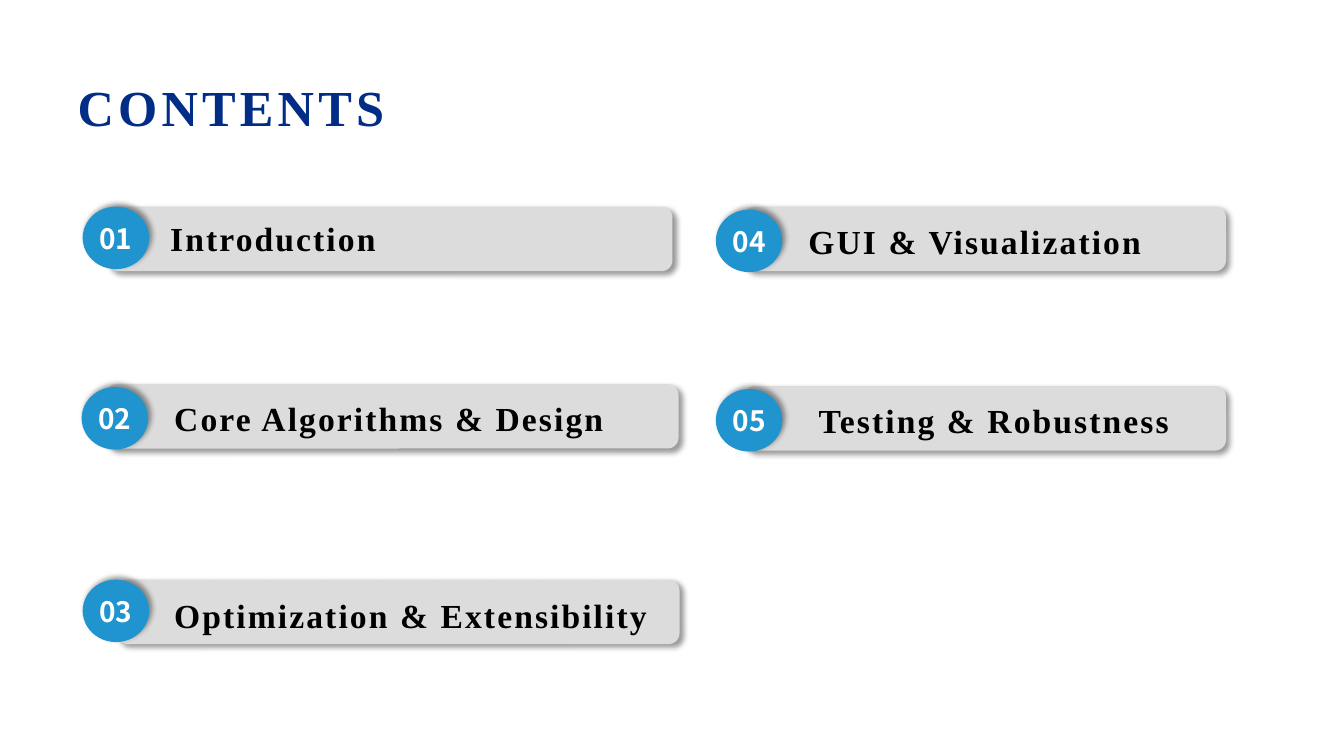
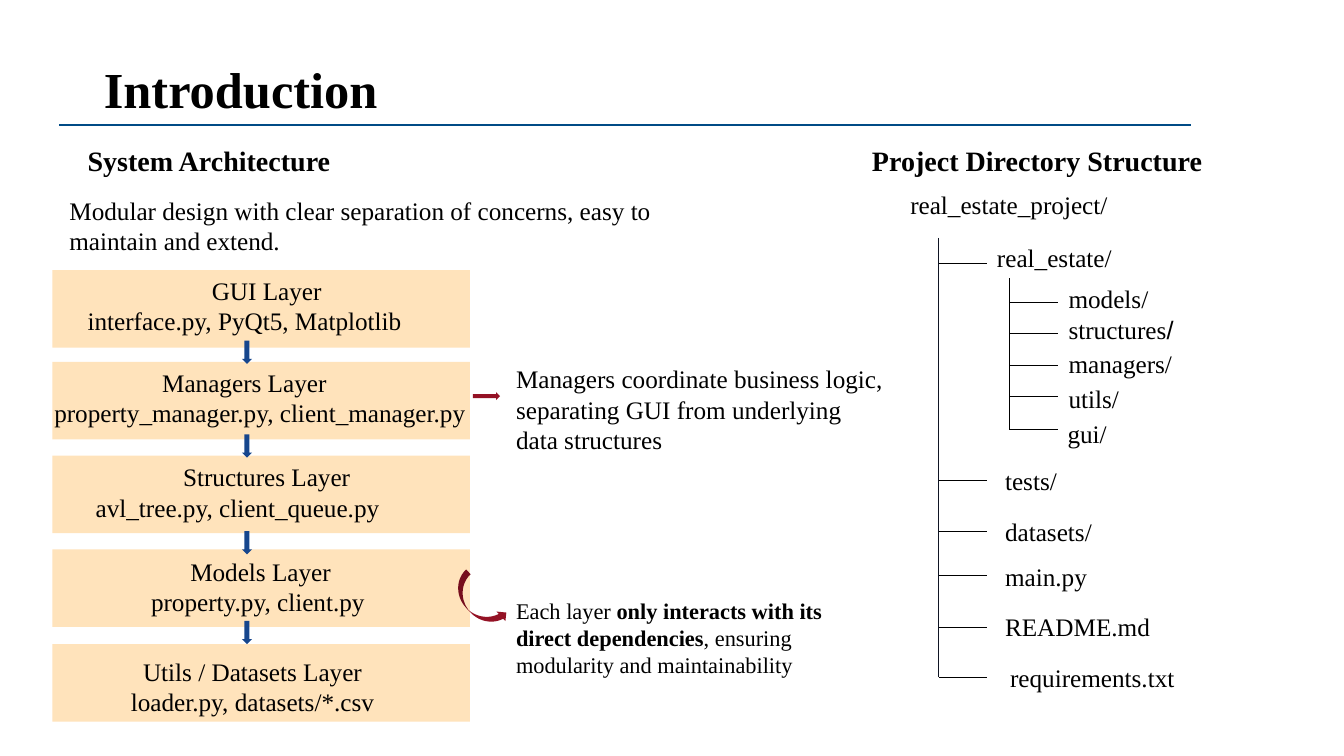
from lxml import etree
from pptx import Presentation
from pptx.dml.color import RGBColor
from pptx.enum.shapes import MSO_CONNECTOR, MSO_SHAPE
from pptx.enum.text import MSO_ANCHOR, MSO_AUTO_SIZE, PP_ALIGN
from pptx.oxml.ns import qn
from pptx.util import Inches, Pt

# Shared look
FONT = "Times New Roman"
BLACK, WHITE = "000000", "FFFFFF"
NAVY, NAVY_DARK = "012D86", "0E2557"
GRAY, BLUE = "DCDCDC", "2094CE"
CREAM, ARROW_BLUE, RED, RULE_BLUE = "FFE3BB", "16468D", "941225", "004B86"
TITLE_SIZE = 36
rgb = RGBColor.from_string


def add_text(shape, text, size=18, bold=False, color=BLACK, font=FONT,
             align=PP_ALIGN.LEFT, indent=0, spacing=0, new_line=False):
    """Append a run to the last paragraph of a shape, or to a new one."""
    tf = shape.text_frame
    tf.word_wrap = True
    p = tf.add_paragraph() if new_line else tf.paragraphs[-1]
    p.alignment = align
    if indent:
        p._p.get_or_add_pPr().set("marL", str(Inches(indent)))
    r = p.add_run()
    r.text = text
    r.font.size, r.font.bold, r.font.name = Pt(size), bold, font
    r.font.color.rgb = rgb(color)
    if spacing:
        r._r.get_or_add_rPr().set("spc", str(round(spacing * 100)))
    return r


def add_shape(s, kind, box, fill, shadow_angle=None):
    """Add a borderless filled shape, with a soft shadow if an angle is given."""
    sp = s.shapes.add_shape(kind, *map(Inches, box))
    sp.shadow.inherit = False
    sp.fill.solid()
    sp.fill.fore_color.rgb = rgb(fill)
    sp.line.fill.background()
    if shadow_angle is not None:
        effects = sp._element.spPr.find(qn("a:effectLst"))
        shadow = etree.SubElement(
            effects, qn("a:outerShdw"), blurRad=str(Pt(4)), dist=str(Pt(3)),
            dir=str(shadow_angle * 60000), algn="ctr", rotWithShape="0")
        shade = etree.SubElement(shadow, qn("a:srgbClr"), val=BLACK)
        etree.SubElement(shade, qn("a:alpha"), val="40000")
    return sp


prs = Presentation()
prs.slide_width, prs.slide_height = Inches(13.33), Inches(7.5)

# Slides and titles
slides, title_runs = [], []
for text, box, anchor, color, spacing in [
    ("CONTENTS", (0.67, 0.67, 12, 0.77), MSO_ANCHOR.MIDDLE, NAVY, 3),
    ("Introduction", (0.93, 0.53, 7.37, 0.71), MSO_ANCHOR.TOP, BLACK, 0),
]:
    s = prs.slides.add_slide(prs.slide_layouts[5])
    title = s.shapes.title
    title.left, title.top, title.width, title.height = map(Inches, box)
    title.text_frame.vertical_anchor = anchor
    title.text_frame.auto_size = MSO_AUTO_SIZE.NONE
    title_runs.append(add_text(title, text, TITLE_SIZE, True, color, spacing=spacing))
    slides.append(s)
contents, intro = slides

# Contents: gradient title
fill = title_runs[0].font.fill
fill.gradient()
fill.gradient_angle = 270
for stop, color in zip(fill.gradient_stops, (NAVY, NAVY_DARK)):
    stop.color.rgb = rgb(color)

# Contents: numbered bars (bar left, top, width; circle left, top; text left, top)
chapters = [
    ("Introduction", (1.07, 2.05, 5.6), (0.82, 2.05), (1.59, 2.11)),
    ("Core Algorithms & Design", (1.05, 3.81, 5.68), (0.81, 3.84), (1.63, 3.9)),
    ("Optimization & Extensibility", (1.16, 5.75, 5.58), (0.82, 5.75), (1.63, 5.85)),
    ("GUI & Visualization", (7.38, 2.05, 4.78), (7.1, 2.08), (7.92, 2.14)),
    ("Testing & Robustness", (7.38, 3.83, 4.78), (7.1, 3.86), (8.02, 3.92)),
]
for number, (text, bar, circle, label) in enumerate(chapters, 1):
    add_shape(contents, MSO_SHAPE.ROUNDED_RECTANGLE, (*bar, 0.64), GRAY, 45)
    sp = add_shape(contents, MSO_SHAPE.OVAL, (*circle, 0.66, 0.62), BLUE, 315)
    tf = sp.text_frame
    tf.margin_left = tf.margin_right = tf.margin_top = tf.margin_bottom = 0
    tf.vertical_anchor = MSO_ANCHOR.MIDDLE
    add_text(sp, f"{number:02}", 20, True, WHITE, "Noto Sans CJK SC", PP_ALIGN.CENTER)
    sp = contents.shapes.add_textbox(*map(Inches, (*label, 5.1, 0.5)))
    add_text(sp, text, 24, True, spacing=1.5)

# Introduction: layer boxes (text left, top, width; first-line and file-line formats)
CENTER = {"align": PP_ALIGN.CENTER}
layers = [
    (2.68, "GUI Layer", "interface.py, PyQt5, Matplotlib", (0.77, 2.68, 3.75), CENTER, {}),
    (3.59, "Managers Layer", "property_manager.py, client_manager.py",
     (0.44, 3.59, 4.69), {"indent": 1.07}, {}),
    (4.52, "Structures Layer", "avl_tree.py, client_queue.py", (0.85, 4.53, 3.59), CENTER, {}),
    (5.45, "Models Layer", "property.py, client.py", (1.4, 5.47, 2.37), CENTER, {}),
    (6.39, "Utils / Datasets Layer", "loader.py, datasets/*.csv",
     (0.5, 6.46, 4.01), CENTER, CENTER),
]
for top, name, files, box, name_format, files_format in layers:
    add_shape(intro, MSO_SHAPE.RECTANGLE, (0.52, top, 4.14, 0.77), CREAM)
    sp = intro.shapes.add_textbox(*map(Inches, (*box, 0.71)))
    add_text(sp, name, **name_format)
    add_text(sp, files, new_line=True, **files_format)

# Introduction: arrows between layers and to the notes
for top in (3.38, 4.31, 5.27, 6.16):
    add_shape(intro, MSO_SHAPE.DOWN_ARROW, (2.4, top, 0.1, 0.23), ARROW_BLUE)
add_shape(intro, MSO_SHAPE.RIGHT_ARROW, (4.69, 3.89, 0.27, 0.08), RED)
sp = add_shape(intro, MSO_SHAPE.CURVED_RIGHT_ARROW, (4.62, 5.65, 0.26, 0.65), RED)
sp.rotation = 317

# Introduction: title rule and directory tree lines
TRUNK, SUBTRUNK, BRANCH = 9.31, 10.01, 0.48
lines = [
    (0.59, 1.24, 11.81, 1.24, RULE_BLUE, 1.5),
    (TRUNK, 2.36, TRUNK, 6.72, "0F1423", 0.75),
    (SUBTRUNK, 2.76, SUBTRUNK, 4.26, BLACK, 0.5),
]
for x, tops in [(TRUNK, (2.61, 4.77, 5.27, 5.71, 6.22, 6.72)),
                (SUBTRUNK, (3, 3.31, 3.62, 3.93, 4.26))]:
    lines += [(x, y, x + BRANCH, y, BLACK, 0.5) for y in tops]
for x1, y1, x2, y2, color, width in lines:
    line = intro.shapes.add_connector(MSO_CONNECTOR.STRAIGHT, *map(Inches, (x1, y1, x2, y2)))
    line.line.color.rgb = rgb(color)
    line.line.width = Pt(width)
    etree.SubElement(line._element.spPr, qn("a:effectLst"))

# Introduction: headings, notes and directory names (each a list of text and format)
HEADING = {"size": 20, "bold": True}
NOTE = {"size": 16}
labels = [
    (0.77, 1.37, 6.67, [("System Architecture", HEADING)]),
    (0.59, 1.89, 6.67, [("Modular design with clear separation of concerns, "
                         "easy to maintain and extend.", {})]),
    (8.55, 1.37, 3.72, [("Project Directory Structure", HEADING)]),
    (5.02, 3.56, 3.84, [("Managers coordinate business logic, separating GUI "
                         "from underlying data structures", {})]),
    (5.02, 5.88, 3.74, [("Each layer", NOTE),
                        (" only interacts with its direct dependencies",
                         {**NOTE, "bold": True}),
                        (", ensuring modularity and maintainability", NOTE)]),
    (8.93, 1.83, 2.91, [("real_estate_project/", {})]),
    (9.79, 2.35, 1.84, [("real_estate/", {})]),
    (10.5, 2.76, 1.97, [("models/", {})]),
    (10.5, 3.07, 1.97, [("structures", {}), ("/", {"font": "Arial"})]),
    (10.5, 3.41, 1.97, [("managers/", {})]),
    (10.5, 3.75, 1.97, [("utils/", {})]),
    (10.49, 4.1, 1.97, [("gui/", {})]),
    (9.87, 4.57, 2.25, [("tests/", {})]),
    (9.87, 5.07, 2.25, [("datasets/", {})]),
    (9.87, 5.52, 2.25, [("main.py", {})]),
    (9.87, 6.02, 2.25, [("README.md", {})]),
    (9.92, 6.52, 2.25, [("requirements.txt", {})]),
]
for x, y, width, runs in labels:
    sp = intro.shapes.add_textbox(*map(Inches, (x, y, width, 0.4)))
    for text, text_format in runs:
        add_text(sp, text, **text_format)

prs.save("out.pptx")
